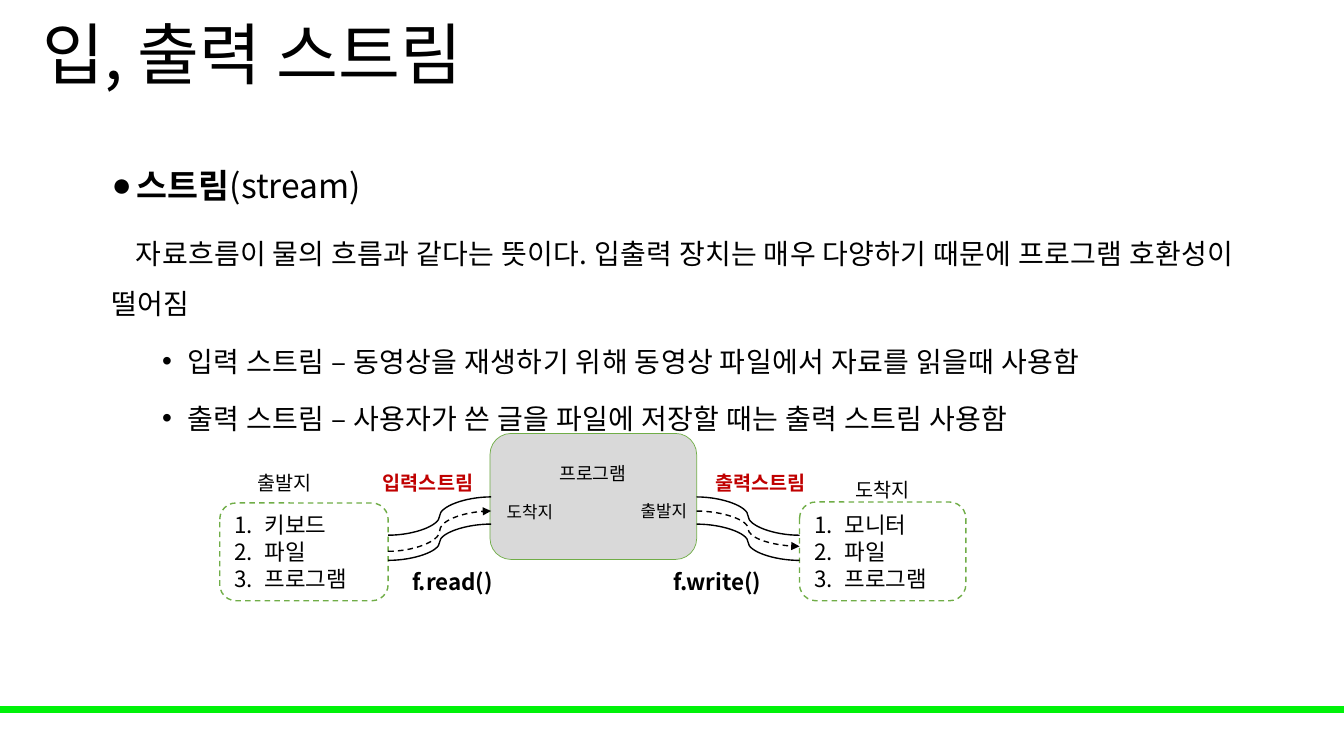
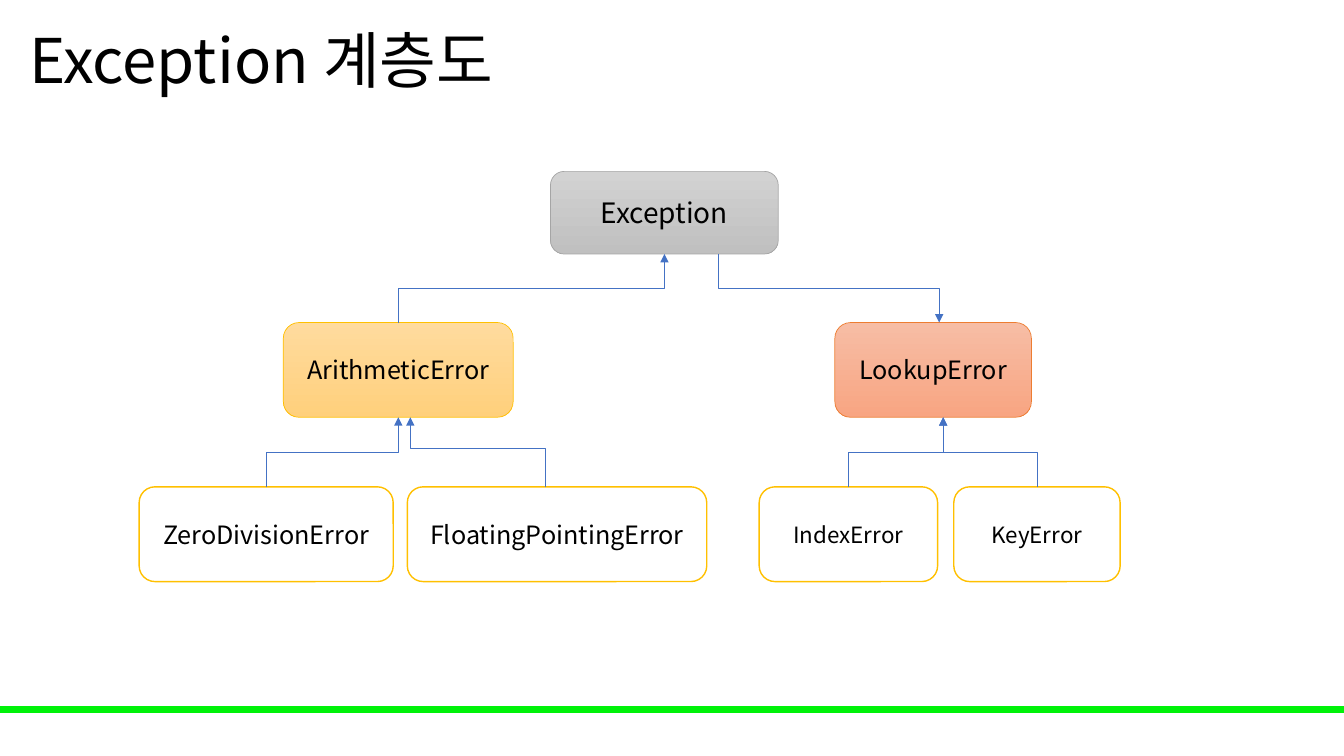
from lxml import etree
from pptx import Presentation
from pptx.dml.color import RGBColor
from pptx.enum.dml import MSO_LINE
from pptx.enum.shapes import MSO_CONNECTOR, MSO_SHAPE
from pptx.enum.text import MSO_ANCHOR, PP_ALIGN
from pptx.oxml.ns import qn
from pptx.util import Inches, Pt

RECTANGLE, ROUNDED = MSO_SHAPE.RECTANGLE, MSO_SHAPE.ROUNDED_RECTANGLE
CURVE, ELBOW = MSO_CONNECTOR.CURVE, MSO_CONNECTOR.ELBOW
DASH = MSO_LINE.DASH
TOP, MIDDLE = MSO_ANCHOR.TOP, MSO_ANCHOR.MIDDLE
LEFT, CENTER = PP_ALIGN.LEFT, PP_ALIGN.CENTER

FONT = "Noto Sans CJK KR"
BULLET_FONT = "Arial"
BLACK = RGBColor(0x00, 0x00, 0x00)
WHITE = RGBColor(0xFF, 0xFF, 0xFF)
BAND_GREEN = RGBColor(0x00, 0xF2, 0x09)
BOX_GREEN = RGBColor(0x70, 0xAD, 0x47)
RED = RGBColor(0xC0, 0x00, 0x00)
BLUE = RGBColor(0x44, 0x72, 0xC4)
PALE_GRAY = RGBColor(0xD9, 0xD9, 0xD9)
GRAY = RGBColor(0xA5, 0xA5, 0xA5)
GOLD = RGBColor(0xFF, 0xC0, 0x00)
ORANGE = RGBColor(0xED, 0x7D, 0x31)
GRAY_FADE = (RGBColor(0xD2, 0xD2, 0xD2), RGBColor(0xC0, 0xC0, 0xC0))
GOLD_FADE = (RGBColor(0xFF, 0xDB, 0x9E), RGBColor(0xFF, 0xD0, 0x7C))
ORANGE_FADE = (RGBColor(0xF7, 0xBD, 0xA5), RGBColor(0xF8, 0xA5, 0x82))

STREAM_TITLE = "입, 출력 스트림"
HIERARCHY_TITLE = "Exception 계층도"

STREAM_TEXT = [
    {"runs": [("스트림", True), ("(stream)", False)], "size": 24, "before": 10,
     "bullet": "●", "margin": 0.25, "indent": -0.25, "tracking": 0},
    {"runs": [("자료흐름이 물의 흐름과 같다는 뜻이다. 입출력 장치는 매우 다양하기 때문에 "
               "프로그램 호환성이 떨어짐", False)],
     "size": 20, "before": 10, "bullet": None, "margin": 0, "indent": 0.24,
     "tracking": 0.2},
] + [
    {"runs": [(text, False)], "size": 20, "before": 5, "bullet": "•",
     "margin": 0.75, "indent": -0.25, "tracking": 0.25}
    for text in (
        "입력 스트림 – 동영상을 재생하기 위해 동영상 파일에서 자료를 읽을때 사용함",
        "출력 스트림 – 사용자가 쓴 글을 파일에 저장할 때는 출력 스트림 사용함",
    )
]

PROGRAM_BOX = (4.86, 4.3, 2.05, 1.25)
ENDPOINT_BOXES = [
    ((2.18, 4.99, 1.67, 0.97), ("키보드", "파일", "프로그램")),
    ((7.93, 4.98, 1.65, 0.98), ("모니터", "파일", "프로그램")),
]
LABELS = [
    ("프로그램", 5.38, 4.54, 1, 13, BLACK, False, CENTER),
    ("도착지", 4.86, 4.93, 0.79, 12, BLACK, False, CENTER),
    ("출발지", 6.2, 4.92, 0.77, 12, BLACK, False, CENTER),
    ("출발지", 2.42, 4.62, 0.81, 14, BLACK, False, CENTER),
    ("도착지", 8.35, 4.69, 0.81, 14, BLACK, False, CENTER),
    ("입력스트림", 3.57, 4.62, 1.35, 14, RED, True, CENTER),
    ("출력스트림", 6.95, 4.62, 1.18, 14, RED, True, CENTER),
    ("f.read()", 3.99, 5.59, 1.41, 16, BLACK, True, LEFT),
    ("f.write()", 6.58, 5.59, 1.1, 16, BLACK, True, LEFT),
]
PIPES = [
    (3.85, 4.87, [(5.31, 4.93), (5.47, 5.07), (5.56, 5.2)]),
    (6.91, 7.93, [(4.93, 5.31), (5.07, 5.42), (5.2, 5.56)]),
]

NODES = {
    "Exception": ((5.46, 1.7, 2.26, 0.82), 20, GRAY_FADE, GRAY),
    "ArithmeticError": ((2.81, 3.2, 2.28, 0.94), 18, GOLD_FADE, GOLD),
    "LookupError": ((8.28, 3.2, 1.95, 0.94), 18, ORANGE_FADE, ORANGE),
    "ZeroDivisionError": ((1.38, 4.83, 2.52, 0.94), 18, None, GOLD),
    "FloatingPointingError": ((4.04, 4.83, 2.97, 0.94), 18, None, GOLD),
    "IndexError": ((7.53, 4.83, 1.77, 0.94), 16, None, GOLD),
    "KeyError": ((9.46, 4.83, 1.65, 0.94), 16, None, GOLD),
}
LINKS = [
    ("ArithmeticError", 0, "Exception", 0, 0.5),
    ("Exception", 0.53, "LookupError", 0.06, 0.5),
    ("ZeroDivisionError", 0, "ArithmeticError", 0, 0.5),
    ("FloatingPointingError", -0.12, "ArithmeticError", 0.12, 0.55),
    ("IndexError", 0, "LookupError", 0.1, 0.5),
    ("KeyError", 0, "LookupError", 0.1, 0.5),
]


def format_run(span, size, color=BLACK, bold=False, tracking=0):
    span.font.name = FONT
    span.font.size = Pt(size)
    span.font.color.rgb = color
    span.font.bold = bold
    properties = span.font._element
    if tracking:
        properties.set("spc", str(round(tracking * 100)))
    etree.SubElement(properties, qn("a:ea")).set("typeface", FONT)


def set_bullet(para, margin, indent, tag, **attributes):
    properties = para._p.get_or_add_pPr()
    properties.set("marL", str(Inches(margin)))
    properties.set("indent", str(Inches(indent)))
    if tag == "a:buChar":
        etree.SubElement(properties, qn("a:buFont")).set("typeface", BULLET_FONT)
    bullet = etree.SubElement(properties, qn(tag))
    for name, value in attributes.items():
        bullet.set(name, value)


def add_shape(slide, kind, bounds, fill, line, width, dash=None):
    box = slide.shapes.add_shape(kind, *map(Inches, bounds))
    box.shadow.inherit = False
    if fill is None:
        box.fill.background()
    elif isinstance(fill, RGBColor):
        box.fill.solid()
        box.fill.fore_color.rgb = fill
    else:
        box.fill.gradient()
        box.fill.gradient_angle = 270
        for stop, color, position in zip(box.fill.gradient_stops, fill, (0, 1)):
            stop.color.rgb = color
            stop.position = position
    box.line.color.rgb = line
    box.line.width = Pt(width)
    if dash is not None:
        box.line.dash_style = dash
    box.text_frame.vertical_anchor = MIDDLE
    return box


def add_text(slide, text, bounds, size, color=BLACK, bold=False, align=LEFT, anchor=TOP):
    frame = slide.shapes.add_textbox(*map(Inches, bounds)).text_frame
    frame.word_wrap = True
    frame.vertical_anchor = anchor
    frame.text = text
    para = frame.paragraphs[0]
    para.alignment = align
    format_run(para.runs[0], size, color, bold)


def add_line(slide, kind, start, end, color, width, dash=None, arrow=False):
    line = slide.shapes.add_connector(kind, *map(Inches, start + end))
    line.line.color.rgb = color
    line.line.width = Pt(width)
    if dash is not None:
        line.line.dash_style = dash
    if arrow:
        tail = etree.SubElement(line.line._get_or_add_ln(), qn("a:tailEnd"))
        tail.set("type", "triangle")
    etree.SubElement(line._element.spPr, qn("a:effectLst"))
    return line


def add_vertical_elbow(slide, start, end, bend):
    (x1, y1), (x2, y2) = start, end
    line = add_line(slide, ELBOW, start, end, BLUE, 0.5, arrow=True)
    run, rise = abs(x2 - x1), abs(y2 - y1)
    line.left = Inches((x1 + x2 - rise) / 2)
    line.top = Inches((y1 + y2 - run) / 2)
    line.width, line.height = Inches(rise), Inches(run)
    frame = line._element.spPr.find(qn("a:xfrm"))
    frame.set("rot", "5400000")
    frame.set("flipH", str(int(y2 < y1)))
    frame.set("flipV", str(int(x2 > x1)))
    adjustments = line._element.spPr.find(qn("a:prstGeom")).get_or_add_avLst()
    guide = etree.SubElement(adjustments, qn("a:gd"))
    guide.set("name", "adj1")
    guide.set("fmla", f"val {round(bend * 100000)}")


def add_page(deck, title, bounds, size, anchor):
    page = deck.slides.add_slide(deck.slide_layouts[6])
    add_shape(page, RECTANGLE, (0, 7.01, 13.33, 0.06), BAND_GREEN, BAND_GREEN, 1)
    add_text(page, title, bounds, size, anchor=anchor)
    return page


def add_stream_text(page):
    frame = page.shapes.add_textbox(*map(Inches, (1.01, 1.39, 12.01, 2.7))).text_frame
    frame.word_wrap = True
    for index, item in enumerate(STREAM_TEXT):
        para = frame.add_paragraph() if index else frame.paragraphs[0]
        para.line_spacing = 1.5
        para.space_before = Pt(item["before"])
        if item["bullet"]:
            set_bullet(para, item["margin"], item["indent"], "a:buChar", char=item["bullet"])
        else:
            set_bullet(para, item["margin"], item["indent"], "a:buNone")
        for text, bold in item["runs"]:
            span = para.add_run()
            span.text = text
            format_run(span, item["size"], bold=bold, tracking=item["tracking"])


def build_streams(deck):
    page = add_page(deck, STREAM_TITLE, (0.32, 0.05, 5.41, 0.94), 48, MIDDLE)
    add_stream_text(page)
    add_shape(page, ROUNDED, PROGRAM_BOX, PALE_GRAY, BOX_GREEN, 0.5)
    for bounds, devices in ENDPOINT_BOXES:
        box = add_shape(page, ROUNDED, bounds, None, BOX_GREEN, 1, DASH)
        box.text_frame.text = "\n".join(devices)
        for para in box.text_frame.paragraphs:
            para.alignment = LEFT
            set_bullet(para, 0.3, -0.3, "a:buAutoNum", type="arabicPeriod")
            format_run(para.runs[0], 16)
    for left, right, levels in PIPES:
        for index, (begin, finish) in enumerate(levels):
            flow = index == 1
            add_line(page, CURVE, (left, begin), (right, finish), BLACK, 1,
                     DASH if flow else None, flow)
    for text, left, top, width, size, color, bold, align in LABELS:
        height = 0.1 + size * 0.02
        add_text(page, text, (left, top, width, height), size, color, bold, align)


def build_hierarchy(deck):
    page = add_page(deck, HIERARCHY_TITLE, (0.19, 0.17, 5.66, 0.99), 44, TOP)
    for name, (bounds, size, fade, line) in NODES.items():
        box = add_shape(page, ROUNDED, bounds, fade or WHITE, line, 0.5 if fade else 1)
        box.text_frame.text = name
        para = box.text_frame.paragraphs[0]
        para.alignment = CENTER
        format_run(para.runs[0], size)
    for source, source_shift, target, target_shift, bend in LINKS:
        ends = []
        upward = NODES[source][0][1] > NODES[target][0][1]
        for name, shift, from_top in ((source, source_shift, upward),
                                      (target, target_shift, not upward)):
            left, top, width, height = NODES[name][0]
            ends.append((left + width / 2 + shift, top if from_top else top + height))
        add_vertical_elbow(page, *ends, bend)


def main():
    deck = Presentation()
    deck.slide_width, deck.slide_height = Inches(13.33), Inches(7.5)
    build_streams(deck)
    build_hierarchy(deck)
    deck.save("out.pptx")


if __name__ == "__main__":
    main()
